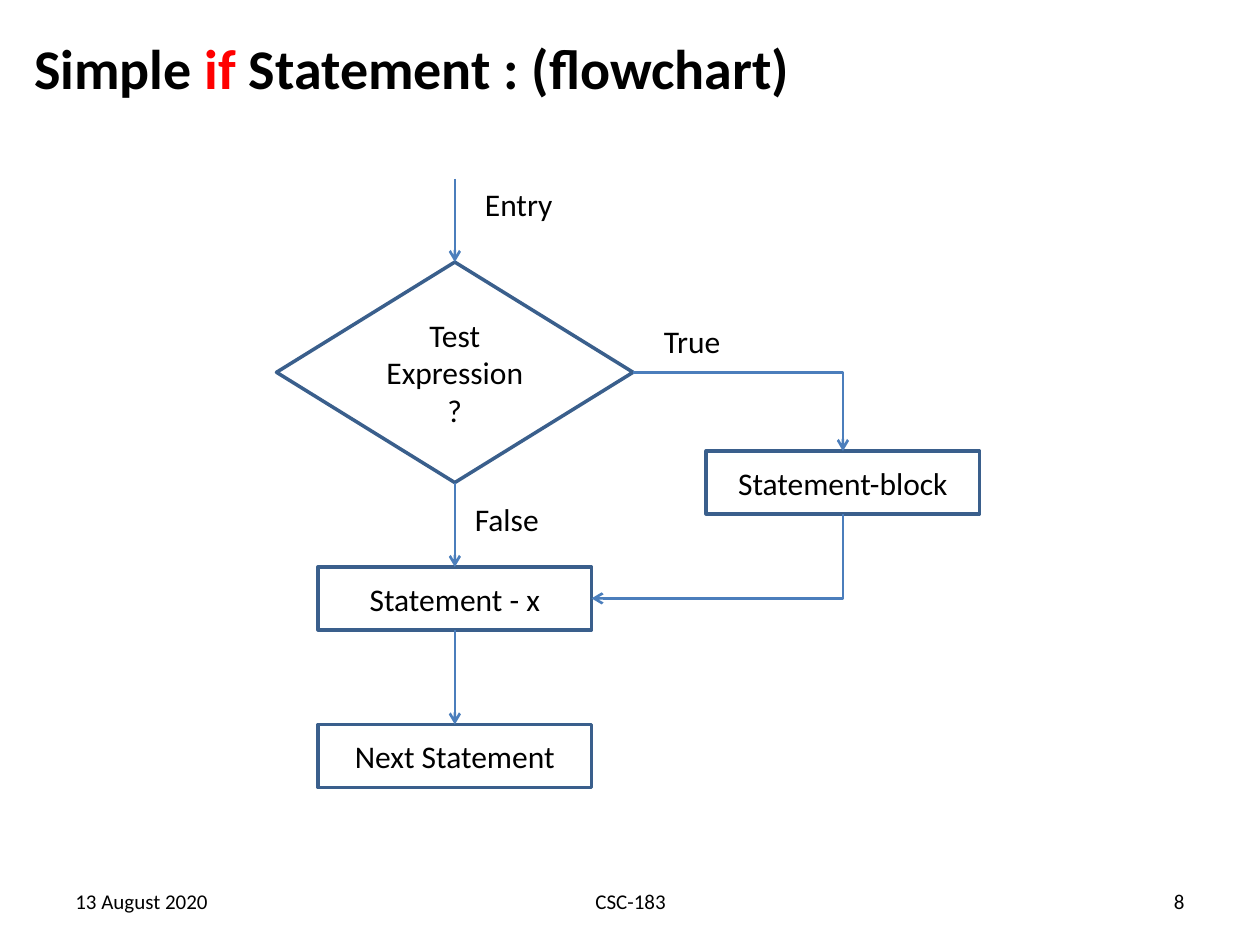
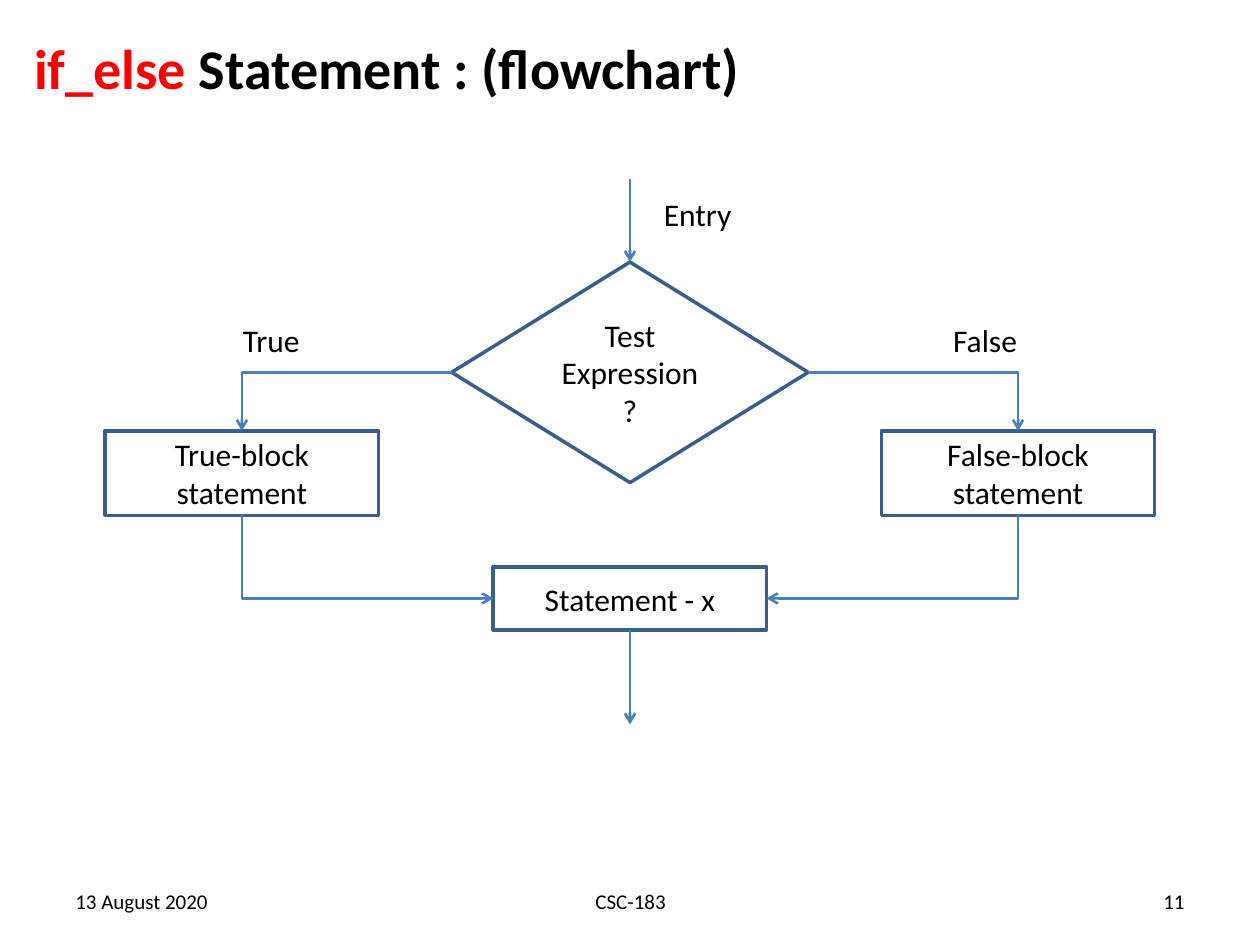
from dataclasses import dataclass
from typing import Optional

import pptx
import pptx.util
import pptx.dml.color
import pptx.enum.shapes
import pptx.enum.text
import pptx.oxml
import pptx.oxml.ns

Inches = pptx.util.Inches
Pt = pptx.util.Pt
Align = pptx.enum.text.PP_ALIGN
Anchor = pptx.enum.text.MSO_ANCHOR
Geometry = pptx.enum.shapes.MSO_SHAPE
ConnectorType = pptx.enum.shapes.MSO_CONNECTOR

COLORS = {
    "text": "000000",
    "keyword": "FF0000",
    "fill": "FFFFFF",
    "outline": "3A5F8C",
    "arrow": "4B7EBC",
}
FONT = "Calibri"
TOP, LEFT, BOTTOM, RIGHT = range(4)
ENTRY_Y, EXIT_Y = 1.42, 5.75
BOX_WIDTH = 2.17


@dataclass(frozen=True)
class Node:
    name: str
    text: str
    center: float
    top: float
    width: float = BOX_WIDTH
    height: float = 0.5
    geometry: Geometry = Geometry.RECTANGLE


@dataclass(frozen=True)
class Port:
    node: str
    side: int


@dataclass(frozen=True)
class Arrow:
    begin: Optional[Port]
    end: Optional[Port]
    bent: bool = False
    head: str = "tailEnd"


@dataclass(frozen=True)
class Label:
    text: str
    left: float
    top: float
    width: float = 1.25
    size: float = 18
    align: Align = Align.LEFT
    anchor: Anchor = Anchor.TOP


@dataclass(frozen=True)
class Flowchart:
    title: list[tuple[str, str]]
    number: str
    axis: float
    nodes: list[Node]
    arrows: list[Arrow]
    labels: list[Label]


def rgb(name: str) -> pptx.dml.color.RGBColor:
    return pptx.dml.color.RGBColor.from_string(COLORS[name])


def write_text(shape, paragraphs: list[list[tuple[str, str]]], *, size: float = 18,
               bold: bool = False, align: Align = Align.CENTER,
               anchor: Anchor = Anchor.MIDDLE) -> None:
    frame = shape.text_frame
    frame.word_wrap = True
    frame.auto_size = pptx.enum.text.MSO_AUTO_SIZE.NONE
    frame.vertical_anchor = anchor
    for index, parts in enumerate(paragraphs):
        paragraph = frame.add_paragraph() if index else frame.paragraphs[0]
        paragraph.alignment = align
        for text, color in parts:
            run = paragraph.add_run()
            run.text = text
            run.font.name = FONT
            run.font.size = Pt(size)
            run.font.bold = bold
            run.font.color.rgb = rgb(color)


def plain(text: str) -> list[list[tuple[str, str]]]:
    return [[(line, "text")] for line in text.split("\n")]


def draw_title(slide, parts: list[tuple[str, str]]) -> None:
    title = slide.shapes.title
    title.left, title.top = Inches(0.17), Inches(0.22)
    title.width, title.height = Inches(9.67), Inches(0.62)
    write_text(title, [parts], size=32, bold=True, align=Align.LEFT)


def draw_label(slide, label: Label) -> None:
    box = slide.shapes.add_textbox(Inches(label.left), Inches(label.top),
                                   Inches(label.width), Inches(0.4))
    write_text(box, plain(label.text), size=label.size, align=label.align, anchor=label.anchor)


def draw_footer(slide, number: str) -> None:
    for text, left, width, align in (
        ("13 August 2020", 0.5, 2.33, Align.LEFT),
        ("CSC-183", 3.42, 3.17, Align.CENTER),
        (number, 7.17, 2.33, Align.RIGHT),
    ):
        draw_label(slide, Label(text, left, 6.95, width, 12, align, Anchor.MIDDLE))


def draw_node(slide, node: Node):
    shape = slide.shapes.add_shape(
        node.geometry, Inches(node.center - node.width / 2), Inches(node.top),
        Inches(node.width), Inches(node.height))
    shape.shadow.inherit = False
    shape.fill.solid()
    shape.fill.fore_color.rgb = rgb("fill")
    shape.line.color.rgb = rgb("outline")
    shape.line.width = Pt(2)
    write_text(shape, plain(node.text))
    return shape


def draw_arrow(slide, arrow: Arrow, shapes: dict, axis: float) -> None:
    kind = ConnectorType.ELBOW if arrow.bent else ConnectorType.STRAIGHT
    connector = slide.shapes.add_connector(
        kind, Inches(axis), Inches(ENTRY_Y), Inches(axis), Inches(EXIT_Y))
    if arrow.begin:
        connector.begin_connect(shapes[arrow.begin.node], arrow.begin.side)
    if arrow.end:
        connector.end_connect(shapes[arrow.end.node], arrow.end.side)
    connector.line.color.rgb = rgb("arrow")
    connector.line.width = Pt(1.5)
    properties = connector._element.spPr
    if arrow.bent:
        properties.find(pptx.oxml.ns.qn("a:prstGeom")).set("prst", "bentConnector2")
    namespace = pptx.oxml.ns.nsdecls("a")
    properties.find(pptx.oxml.ns.qn("a:ln")).append(
        pptx.oxml.parse_xml(f'<a:{arrow.head} {namespace} type="arrow"/>'))
    properties.append(pptx.oxml.parse_xml(f"<a:effectLst {namespace}/>"))


def decision(center: float) -> Node:
    return Node("test", "Test\nExpression\n?", center, 2.08, 2.83, 1.75,
                Geometry.FLOWCHART_DECISION)


def branch(block: str, side: int) -> list[Arrow]:
    return [
        Arrow(Port("test", side), Port(block, TOP), bent=True),
        Arrow(Port("join", side), Port(block, BOTTOM), bent=True, head="headEnd"),
    ]


ENTRY = Arrow(None, Port("test", TOP))

FLOWCHARTS = [
    Flowchart(
        title=[("Simple ", "text"), ("if", "keyword"), (" Statement : (flowchart)", "text")],
        number="8",
        axis=3.61,
        nodes=[
            decision(3.61),
            Node("block", "Statement-block", 6.69, 3.58),
            Node("join", "Statement - x", 3.61, 4.5),
            Node("next", "Next Statement", 3.61, EXIT_Y),
        ],
        arrows=[
            ENTRY,
            *branch("block", RIGHT),
            Arrow(Port("test", BOTTOM), Port("join", TOP)),
            Arrow(Port("join", BOTTOM), Port("next", TOP)),
        ],
        labels=[Label("Entry", 3.75, 1.42), Label("True", 5.17, 2.51),
                Label("False", 3.67, 3.92)],
    ),
    Flowchart(
        title=[("if_else", "keyword"), (" Statement : (flowchart)", "text")],
        number="11",
        axis=5,
        nodes=[
            decision(5),
            Node("true", "True-block\nstatement", 1.92, 3.42, height=0.67),
            Node("false", "False-block\nstatement", 8.08, 3.42, height=0.67),
            Node("join", "Statement - x", 5, 4.5),
        ],
        arrows=[
            ENTRY,
            *branch("true", LEFT),
            *branch("false", RIGHT),
            Arrow(Port("join", BOTTOM), None),
        ],
        labels=[Label("Entry", 5.17, 1.5), Label("True", 1.83, 2.5),
                Label("False", 6.92, 2.5, align=Align.RIGHT)],
    ),
]


def draw_flowchart(presentation, chart: Flowchart) -> None:
    slide = presentation.slides.add_slide(presentation.slide_layouts[5])
    draw_title(slide, chart.title)
    draw_footer(slide, chart.number)
    shapes = {node.name: draw_node(slide, node) for node in chart.nodes}
    for arrow in chart.arrows:
        draw_arrow(slide, arrow, shapes, chart.axis)
    for label in chart.labels:
        draw_label(slide, label)


def main() -> None:
    presentation = pptx.Presentation()
    presentation.slide_width, presentation.slide_height = Inches(10), Inches(7.5)
    for chart in FLOWCHARTS:
        draw_flowchart(presentation, chart)
    presentation.save("out.pptx")


if __name__ == "__main__":
    main()
